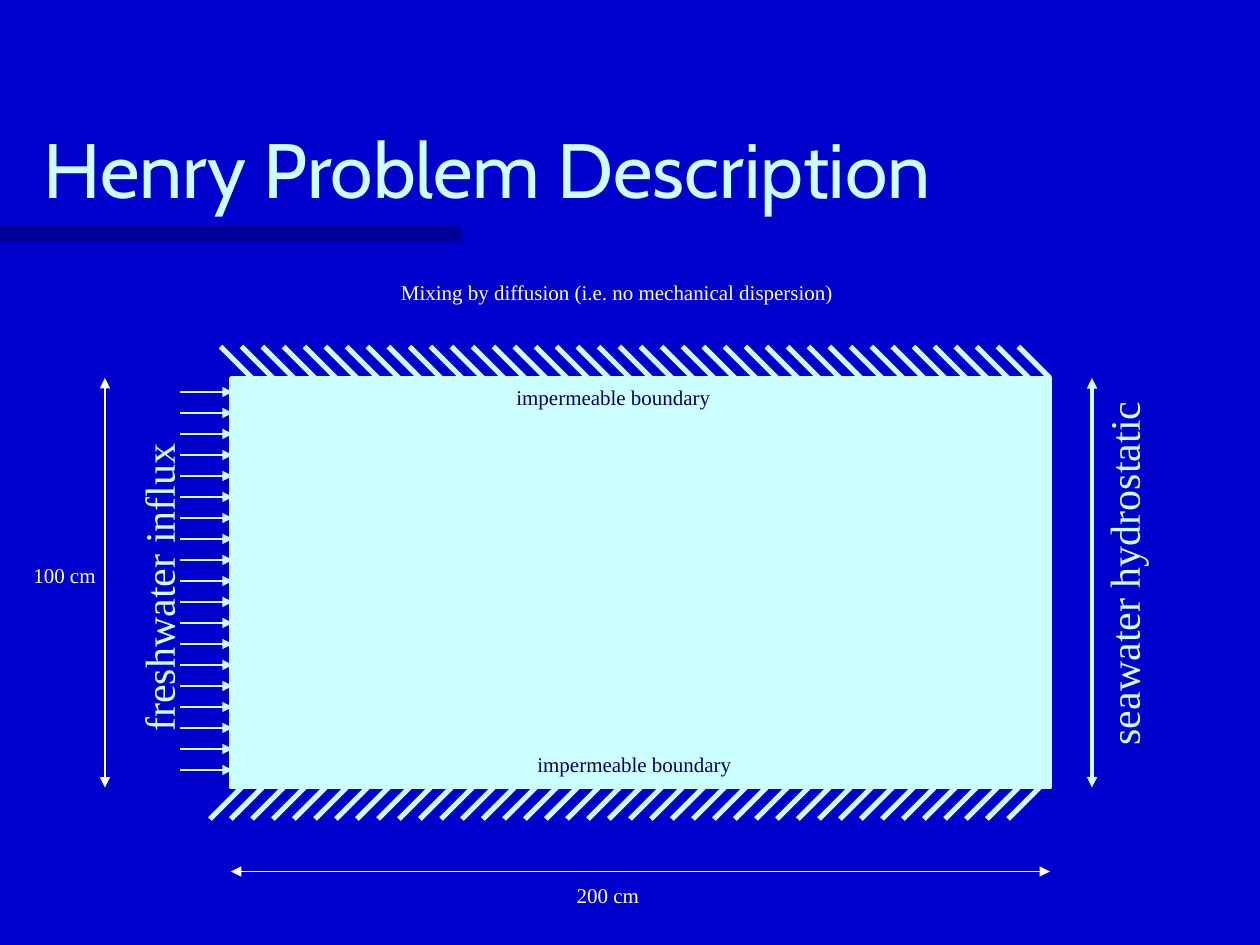
from lxml import etree
from pptx import Presentation
from pptx.dml.color import RGBColor
from pptx.enum.shapes import MSO_CONNECTOR, MSO_SHAPE
from pptx.enum.text import MSO_ANCHOR, MSO_AUTO_SIZE
from pptx.oxml.ns import qn
from pptx.util import Pt

STRAIGHT = MSO_CONNECTOR.STRAIGHT
RECTANGLE = MSO_SHAPE.RECTANGLE
BOTTOM = MSO_ANCHOR.BOTTOM
GROW = MSO_AUTO_SIZE.SHAPE_TO_FIT_TEXT

BLUE, NAVY, PALE, WHITE = "0000CC", "000066", "CCFFFF", "FFFFFF"
SERIF = "Times New Roman"

TITLE = ("Henry Problem Description", 18, 36, 612, 90)
LABELS = [
    ("freshwater influx", 0.6, 317.4, 179.4, 36, 24, PALE, 270),
    ("seawater hydrostatic", 536.3, 309.6, 211, 36, 24, PALE, 270),
    ("impermeable boundary", 288, 216, 126, 21.8, 12, NAVY, 0),
    ("impermeable boundary", 300, 426, 126, 21.8, 12, NAVY, 0),
    ("100 cm", 12, 318, 50.4, 21.8, 12, WHITE, 0),
    ("200 cm", 322.5, 501, 50.4, 21.8, 12, WHITE, 0),
    ("Mixing by diffusion (i.e. no mechanical dispersion)", 222, 156, 262, 21.8, 12, WHITE, 0),
]

LEFT, TOP, WIDTH, HEIGHT = 132, 216, 468, 234
RIGHT, BASE = LEFT + WIDTH, TOP + HEIGHT
DIMENSIONS = [
    (624, TOP, 624, BASE, PALE, 2),
    (60, TOP, 60, BASE, WHITE, 0.75),
    (LEFT, 498, RIGHT, 498, WHITE, 0.75),
]
STEP = 12
INFLUX_COUNT, INFLUX_START, INFLUX_END, INFLUX_TOP = 19, 103, 133, 224
HATCH_COUNT, HATCH_SIZE = 39, 18
HATCHES = [(138, BASE, -HATCH_SIZE, HATCH_SIZE), (144, TOP, -HATCH_SIZE, -HATCH_SIZE)]


def color(value):
    return RGBColor.from_string(value)


def add_block(shapes, left, top, width, height, fill):
    block = shapes.add_shape(RECTANGLE, Pt(left), Pt(top), Pt(width), Pt(height))
    block.shadow.inherit = False
    block.fill.solid()
    block.fill.fore_color.rgb = color(fill)
    block.line.fill.background()
    return block


def add_line(shapes, x1, y1, x2, y2, stroke, weight, arrows=()):
    connector = shapes.add_connector(STRAIGHT, Pt(x1), Pt(y1), Pt(x2), Pt(y2))
    connector.line.color.rgb = color(stroke)
    connector.line.width = Pt(weight)
    outline = connector.line._get_or_add_ln()
    for end in arrows:
        etree.SubElement(outline, qn(f"a:{end}"), type="triangle")
    etree.SubElement(connector._element.spPr, qn("a:effectLst"))


def add_text(shapes, text, left, top, width, height, size, ink, font):
    box = shapes.add_textbox(Pt(left), Pt(top), Pt(width), Pt(height))
    box.text_frame.text = text
    run = box.text_frame.paragraphs[0].runs[0]
    run.font.size = Pt(size)
    run.font.name = font
    run.font.color.rgb = color(ink)
    return box


def main():
    deck = Presentation()
    deck.slide_width, deck.slide_height = Pt(720), Pt(540)
    slide = deck.slides.add_slide(deck.slide_layouts[6])
    slide.background.fill.solid()
    slide.background.fill.fore_color.rgb = color(BLUE)
    shapes = slide.shapes

    title_bar = add_block(shapes, 0, 129, 263.5, 9.4, NAVY)
    bar_color = title_bar._element.spPr.find(qn("a:solidFill"))[0]
    etree.SubElement(bar_color, qn("a:alpha"), val="50000")
    title = add_text(shapes, *TITLE, 44, PALE, "Cabin")
    title.text_frame.word_wrap = True
    title.text_frame.vertical_anchor = BOTTOM

    aquifer = add_block(shapes, LEFT, TOP, WIDTH, HEIGHT, PALE)
    aquifer.line.color.rgb = color(PALE)
    aquifer.line.width = Pt(2)

    for i in range(INFLUX_COUNT):
        y = INFLUX_TOP + i * STEP
        add_line(shapes, INFLUX_START, y, INFLUX_END, y, PALE, 0.75, ("tailEnd",))

    for start, y, dx, dy in HATCHES:
        hatch = shapes.add_group_shape()
        for i in range(HATCH_COUNT):
            x = start + i * STEP
            add_line(hatch.shapes, x, y, x + dx, y + dy, PALE, 3)

    for dimension in DIMENSIONS:
        add_line(shapes, *dimension, ("headEnd", "tailEnd"))

    for *placed_text, rotation in LABELS:
        label = add_text(shapes, *placed_text, SERIF)
        label.text_frame.word_wrap = False
        label.text_frame.auto_size = GROW
        label.rotation = rotation

    deck.save("out.pptx")


if __name__ == "__main__":
    main()
